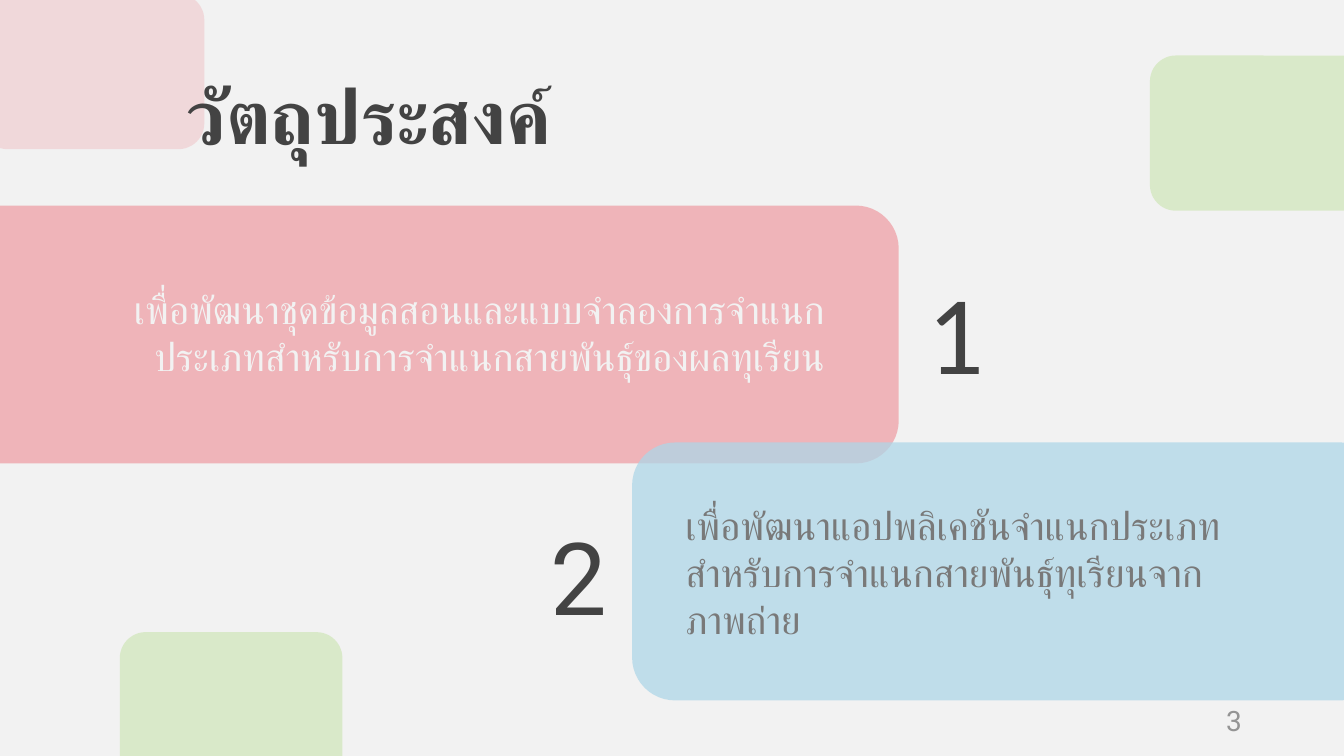
from dataclasses import dataclass

import pptx
import pptx.dml.color
import pptx.enum.shapes
import pptx.enum.text
import pptx.oxml
import pptx.oxml.ns
import pptx.util
from pptx.util import Cm

ALIGN = pptx.enum.text.PP_ALIGN
ANCHOR = pptx.enum.text.MSO_ANCHOR


@dataclass(frozen=True)
class Theme:
    background: str = "F2F2F2"
    pink: str = "EE8C94"
    blue: str = "AED7E8"
    green: str = "92D050"
    dark: str = "434343"
    grey: str = "797979"
    pale_grey: str = "949494"
    font: str = "Roboto"
    numeral_font: str = "Calibri"
    title_size: int = 54
    body_size: int = 28
    page_size: int = 20


theme = Theme()


def add_panel(box, color, opacity):
    """Add a rounded panel; opacity is a percentage."""
    panel = slide.shapes.add_shape(
        pptx.enum.shapes.MSO_SHAPE.ROUNDED_RECTANGLE, *map(Cm, box))
    panel.shadow.inherit = False
    panel.line.fill.background()
    panel.fill.solid()
    panel.fill.fore_color.rgb = pptx.dml.color.RGBColor.from_string(color)
    tint = panel.element.spPr.find(".//" + pptx.oxml.ns.qn("a:srgbClr"))
    tint.append(pptx.oxml.parse_xml(
        f'<a:alpha {pptx.oxml.ns.nsdecls("a")} val="{opacity * 1000}"/>'))


def write(holder, box, text, size, color, align, anchor=ANCHOR.MIDDLE,
          font=theme.font, bold=False, inset=0.33):
    """Place a text holder and fill it with one formatted run."""
    holder.left, holder.top, holder.width, holder.height = map(Cm, box)
    frame = holder.text_frame
    frame.word_wrap = True
    frame.auto_size = pptx.enum.text.MSO_AUTO_SIZE.NONE
    frame.vertical_anchor = anchor
    frame.margin_left = frame.margin_right = Cm(inset)
    frame.margin_top = frame.margin_bottom = Cm(min(inset, 0.33))
    paragraph = frame.paragraphs[0]
    paragraph.alignment = align
    run = paragraph.add_run()
    run.text = text
    run.font.name = font
    run.font.size = pptx.util.Pt(size)
    run.font.bold = bold
    run.font.color.rgb = pptx.dml.color.RGBColor.from_string(color)


deck = pptx.Presentation()
deck.slide_width, deck.slide_height = Cm(33.87), Cm(19.05)
slide = deck.slides.add_slide(deck.slide_layouts[5])
slide.background.fill.solid()
slide.background.fill.fore_color.rgb = pptx.dml.color.RGBColor.from_string(
    theme.background)

# Corner decorations share one size
corners = [
    (-0.46, -0.15, theme.pink),
    (28.98, 1.4, theme.green),
    (3.02, 15.93, theme.green),
]
for left, top, color in corners:
    add_panel((left, top, 5.61, 3.91), color, 25)

# Bring the heading in front of the corner decorations
heading = slide.shapes.title
heading.element.getparent().append(heading.element)
write(heading, (4.37, 1.4, 12.57, 2.79), "วัตถุประสงค์", theme.title_size,
      theme.dark, ALIGN.LEFT, anchor=ANCHOR.TOP, bold=True)

# Panel, its tint and opacity, objective, its text colour and alignment, number
objectives = [
    ((-2.72, 5.18, 25.37, 6.5), theme.pink, 60,
     (2.16, 6.58, 18.95, 3.58),
     "เพื่อพัฒนาชุดข้อมูลสอนและแบบจําลองการจําแนกประเภทสำหรับการจําแนกสายพันธุ์ของผลทุเรียน",
     theme.background, ALIGN.RIGHT,
     (21.44, 6.22, 5.3, 4.19), "1", 80, theme.numeral_font),
    ((15.93, 11.15, 18.95, 6.5), theme.blue, 74,
     (16.94, 12.88, 16.43, 3.05),
     "เพื่อพัฒนาแอปพลิเคชันจําแนกประเภทสำหรับการจําแนกสายพันธุ์ทุเรียนจากภาพถ่าย",
     theme.grey, ALIGN.LEFT,
     (11.94, 12.4, 5.3, 4.19), "2", 72, theme.font),
]
for (panel_box, tint, opacity, objective_box, objective, color, align,
     number_box, number, number_size, number_font) in objectives:
    add_panel(panel_box, tint, opacity)
    write(slide.shapes.add_textbox(0, 0, 0, 0), objective_box, objective,
          theme.body_size, color, align)
    write(slide.shapes.add_textbox(0, 0, 0, 0), number_box, number,
          number_size, theme.dark, ALIGN.CENTER, font=number_font)

write(slide.shapes.add_textbox(0, 0, 0, 0), (23.93, 17.65, 7.62, 1.02), "3",
      theme.page_size, theme.pale_grey, ALIGN.RIGHT, inset=0.25)

deck.save("out.pptx")
